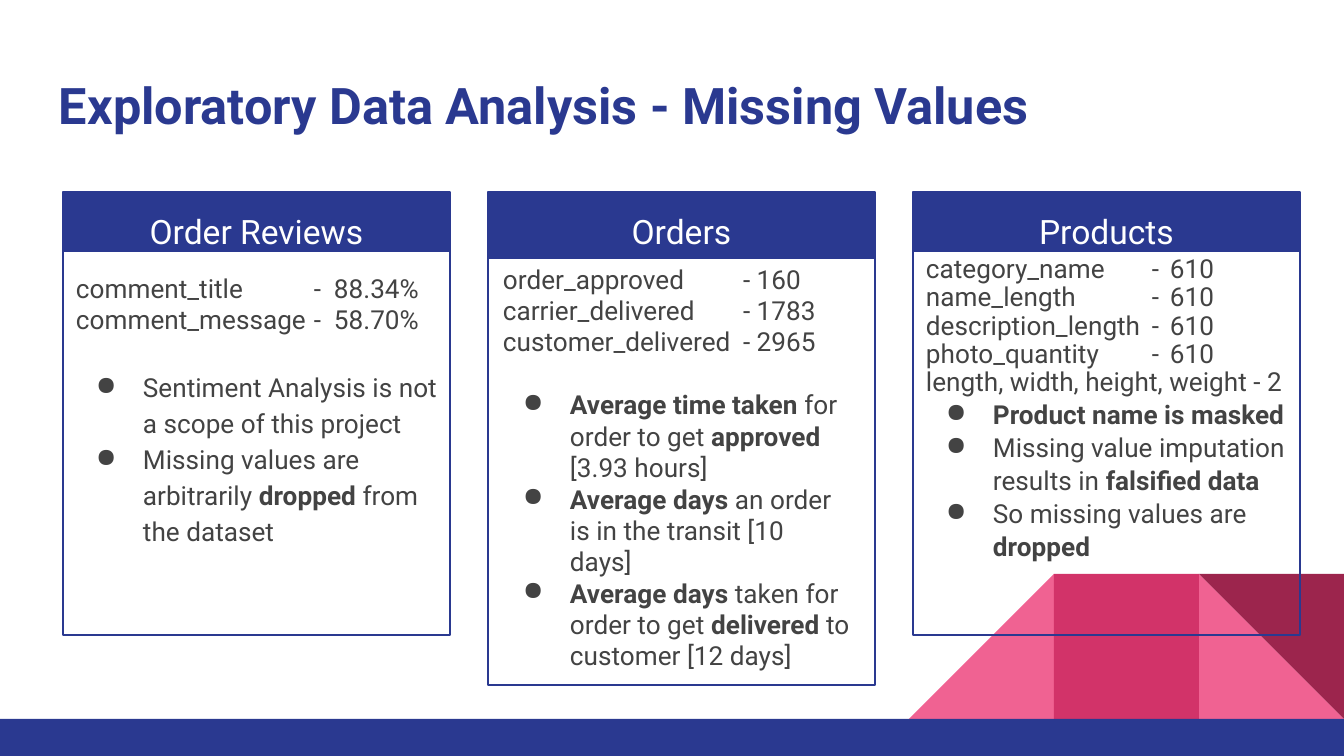
from lxml.etree import SubElement
from pptx import Presentation
from pptx.dml.color import RGBColor
from pptx.enum.shapes import MSO_SHAPE as SHAPE
from pptx.enum.text import MSO_ANCHOR as ANCHOR, PP_ALIGN as ALIGN
from pptx.oxml.ns import qn
from pptx.util import Pt

PX = 914400 / 134.4
NAVY, PINK, ROSE, WINE = "2A3990", "F06292", "D23369", "9C254D"
GREY, WHITE = "434343", "FFFFFF"


def add_block(kind, left, top, width, height, fill=None, line=None, turn=0):
    block = page.shapes.add_shape(kind, *[round(n * PX) for n in (left, top, width, height)])
    block.shadow.inherit = False
    block.rotation = turn
    if fill:
        block.fill.solid()
        block.fill.fore_color.rgb = RGBColor.from_string(fill)
    else:
        block.fill.background()
    if line:
        block.line.color.rgb = RGBColor.from_string(line)
        block.line.width = Pt(0.75)
    else:
        block.line.fill.background()


def write(box, text, size=14, color=GREY, bold=False, align=ALIGN.LEFT,
          spacing=1.0, before=0, bullet=False, stops=()):
    """Add one paragraph to the box; words between asterisks are bold."""
    frame = box.text_frame
    frame.word_wrap = True
    frame.margin_left = frame.margin_right = round(13 * PX)
    frame.margin_top = frame.margin_bottom = round(13 * PX)
    para = frame.add_paragraph() if frame.text else frame.paragraphs[0]
    para.alignment = align
    para.line_spacing = spacing
    para.space_before = Pt(before)
    props = para._p.get_or_add_pPr()
    if bullet:
        props.set("marL", str(round(67 * PX)))
        props.set("indent", str(round(-47 * PX)))
        SubElement(SubElement(props, qn("a:buClr")), qn("a:srgbClr"), val=color)
        SubElement(props, qn("a:buChar"), char="●")
    if stops:
        tabs = SubElement(props, qn("a:tabLst"))
        for stop in stops:
            SubElement(tabs, qn("a:tab"), pos=str(round(stop * PX)), algn="l")
    for number, part in enumerate(text.split("*")):
        if part:
            span = para.add_run()
            span.text = part
            span.font.name = "Roboto"
            span.font.size = Pt(size)
            span.font.bold = bold or number % 2 == 1
            span.font.color.rgb = RGBColor.from_string(color)


deck = Presentation()
deck.slide_width, deck.slide_height = round(1344 * PX), round(756 * PX)
page = deck.slides.add_slide(deck.slide_layouts[5])

# Corner decoration and footer band
for kind, left, fill, turn in [
    (SHAPE.RIGHT_TRIANGLE, 1199, PINK, 0),
    (SHAPE.RIGHT_TRIANGLE, 909, PINK, 270),
    (SHAPE.RECTANGLE, 1054, ROSE, 0),
    (SHAPE.RIGHT_TRIANGLE, 1199, WINE, 180),
]:
    add_block(kind, left, 574, 145, 145, fill=fill, turn=turn)
add_block(SHAPE.RECTANGLE, 0, 719, 1344, 37, fill=NAVY)

title = page.shapes.title
title.left, title.top = round(46 * PX), round(60 * PX)
title.width, title.height = round(1252 * PX), round(89 * PX)
title.text_frame.vertical_anchor = ANCHOR.MIDDLE
write(title, "Exploratory Data Analysis - Missing Values", size=27, color=NAVY, bold=True)

CARDS = [
    dict(name="Order Reviews", left=63, band=60, height=443,
         body=(63, 259, 398, 368), stops=(238, 258),
         row_spacing=1.0, gap=17, point_spacing=1.15,
         rows=["comment_title\t-\t88.34%", "comment_message\t-\t58.70%"],
         points=["Sentiment Analysis is not a scope of this project",
                 "Missing values are arbitrarily *dropped *from the dataset"]),
    dict(name="Orders", left=488, band=67, height=493,
         body=(490, 250, 375, 434), stops=(240,),
         row_spacing=1.0, gap=17, point_spacing=1.0,
         rows=["order_approved\t- 160", "carrier_delivered\t- 1783",
               "customer_delivered\t- 2965"],
         points=["*Average time taken* for order to get *approved *[3.93 hours]",
                 "*Average days* an order is in the transit [10 days]",
                 "*Average days* taken for order to get *delivered *to customer [12 days]"]),
    dict(name="Products", left=913, band=60, height=443,
         body=(913, 243, 398, 384), stops=(226, 244),
         row_spacing=0.9, gap=0, point_spacing=1.05,
         rows=["category_name\t-\t610", "name_length\t-\t610",
               "description_length\t-\t610", "photo_quantity\t-\t610",
               "length, width, height, weight - 2"],
         points=["*Product name is masked*",
                 "Missing value imputation results in *falsified data*",
                 "So missing values are *dropped*"]),
]

for card in CARDS:
    left = card["left"]
    add_block(SHAPE.RECTANGLE, left, 192, 387, card["band"], fill=NAVY)
    add_block(SHAPE.RECTANGLE, left, 192, 387, card["height"], line=NAVY)
    header = page.shapes.add_textbox(*[round(n * PX) for n in (left + 10, 192, 367, 67)])
    write(header, card["name"], size=18, color=WHITE, align=ALIGN.CENTER, spacing=1.15)
    body = page.shapes.add_textbox(*[round(n * PX) for n in card["body"]])
    for row in card["rows"]:
        write(body, row, spacing=card["row_spacing"], stops=card["stops"])
    for number, point in enumerate(card["points"]):
        write(body, point, spacing=card["point_spacing"], bullet=True,
              before=0 if number else card["gap"])

deck.save("out.pptx")
